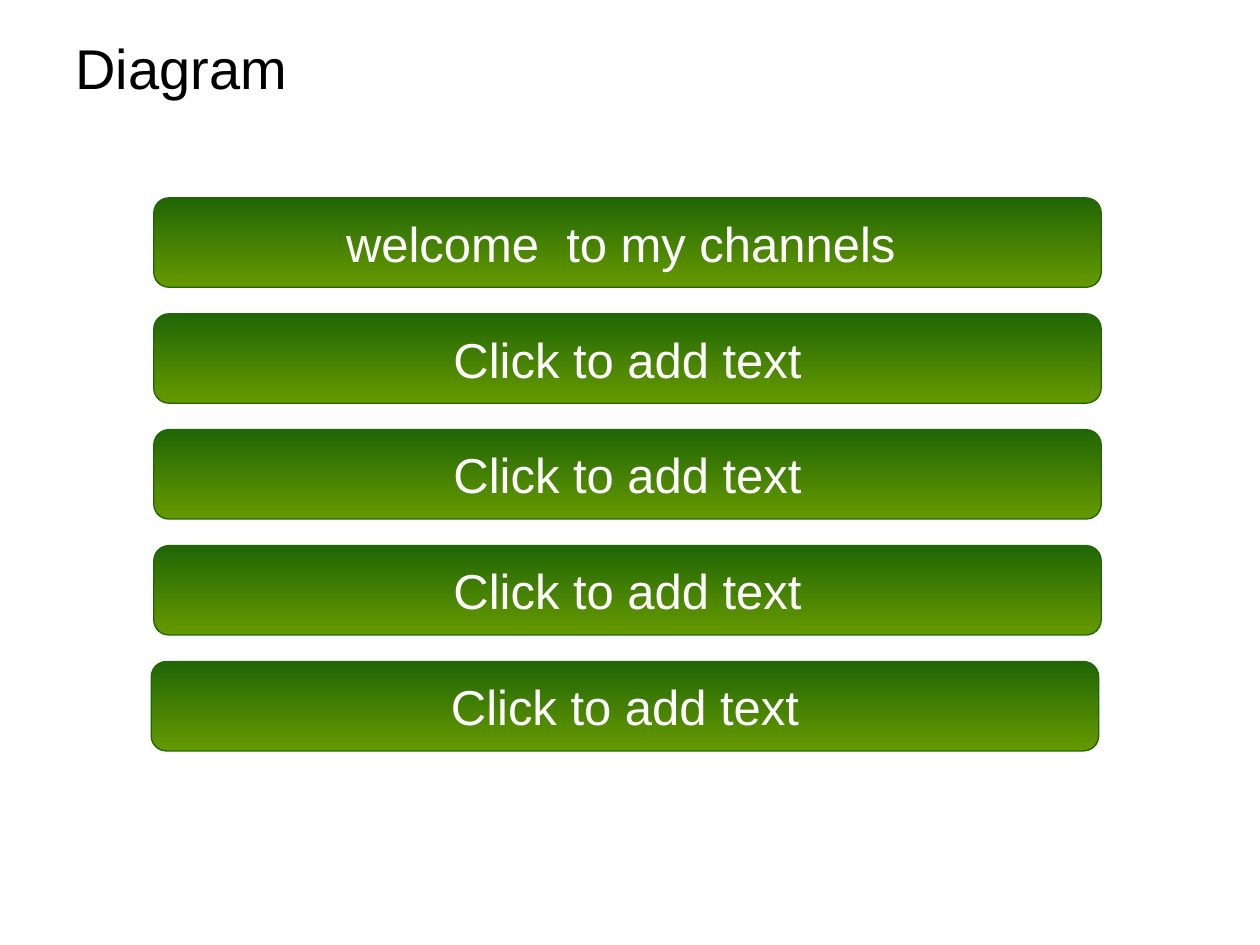
import pptx
import pptx.util
import pptx.dml.color
import pptx.enum.shapes
import pptx.enum.text

Inches = pptx.util.Inches
Pt = pptx.util.Pt
ALIGN = pptx.enum.text.PP_ALIGN
COLORS = {"title": "000000", "label": "FFFFFF", "dark": "216606", "light": "669900"}


def rgb(name):
    return pptx.dml.color.RGBColor.from_string(COLORS[name])


def write(sp, text, size, color, align, wrap):
    tf = sp.text_frame
    tf.word_wrap = wrap
    tf.vertical_anchor = pptx.enum.text.MSO_ANCHOR.MIDDLE
    p = tf.paragraphs[0]
    p.alignment = align
    r = p.add_run()
    r.text = text
    r.font.name = "Arial"
    r.font.size = Pt(size)
    r.font.color.rgb = rgb(color)


def add_title(s, x, y, w, h, text):
    sp = s.shapes.add_textbox(Inches(x), Inches(y), Inches(w), Inches(h))
    write(sp, text, 32, "title", ALIGN.LEFT, True)


def add_bar(s, x, y, w, h, text):
    sp = s.shapes.add_shape(pptx.enum.shapes.MSO_SHAPE.ROUNDED_RECTANGLE,
                            Inches(x), Inches(y), Inches(w), Inches(h))
    sp.adjustments[0] = 0.17
    sp.shadow.inherit = False
    sp.fill.gradient()
    sp.fill.gradient_angle = 270
    for stop, position, color in zip(sp.fill.gradient_stops, (0, 1), ("dark", "light")):
        stop.position = position
        stop.color.rgb = rgb(color)
    sp.line.color.rgb = rgb("dark")
    sp.line.width = Pt(0.75)
    write(sp, text, 28, "label", ALIGN.CENTER, False)


def add_bars(s, x, y, w, h, labels):
    bar_h = 0.71
    pitch = (h - bar_h) / (len(labels) - 1)
    for i, (text, shift) in enumerate(labels):
        add_bar(s, x + shift, y + i * pitch, w, bar_h, text)


def main():
    prs = pptx.Presentation()
    prs.slide_width = Inches(10)
    prs.slide_height = Inches(7.5)
    s = prs.slides.add_slide(prs.slide_layouts[6])
    add_title(s, 0.5, 0.21, 9, 0.64, "Diagram")
    prompt = "Click to add text"
    labels = [("welcome  to my channels ", 0)] + [(prompt, 0)] * 3 + [(prompt, -0.02)]
    add_bars(s, 1.22, 1.57, 7.52, 4.39, labels)
    prs.save("out.pptx")


if __name__ == "__main__":
    main()
